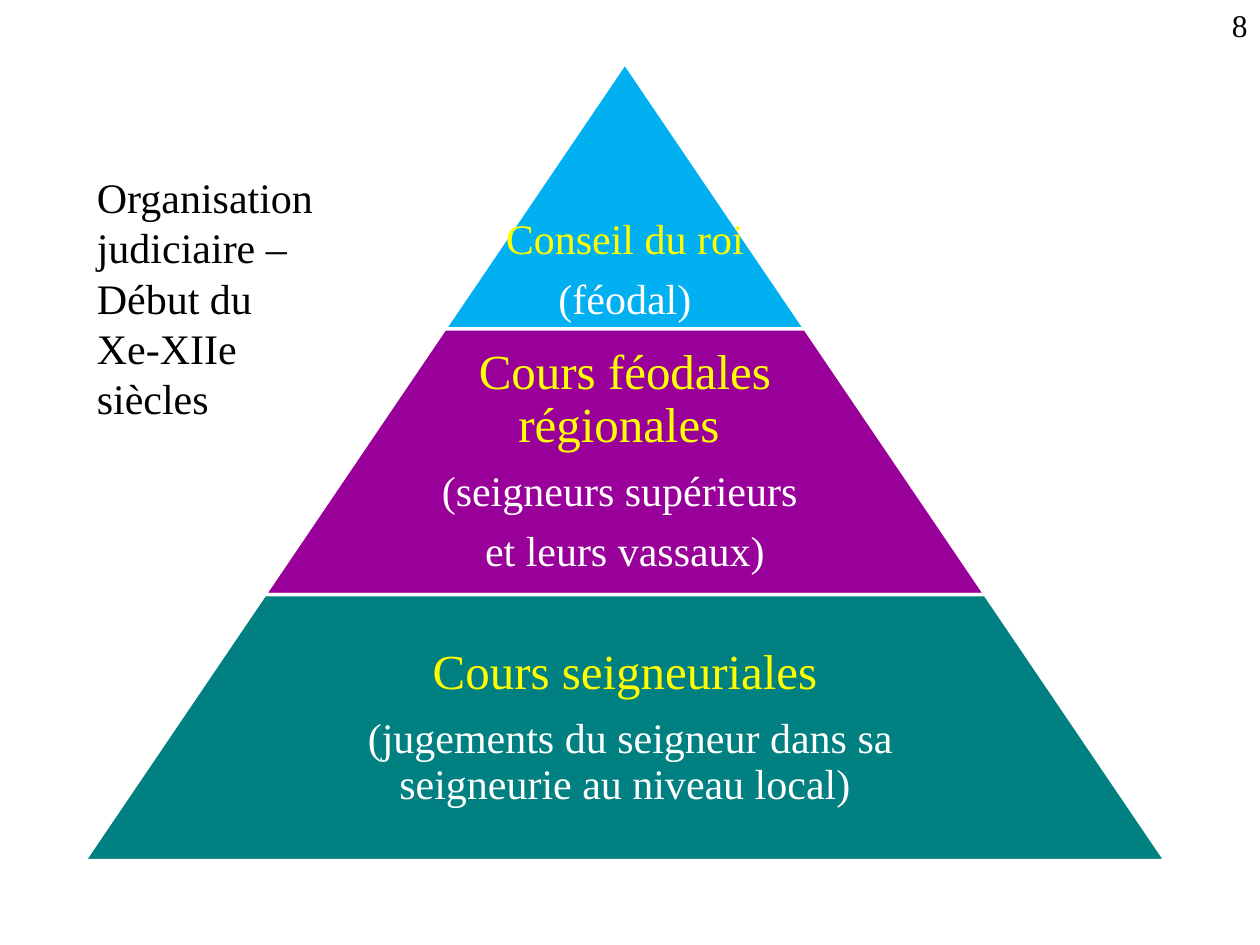
from pptx import Presentation
from pptx.dml.color import RGBColor
from pptx.enum.shapes import MSO_SHAPE
from pptx.enum.text import MSO_ANCHOR, PP_ALIGN
from pptx.util import Inches, Pt

TRAPEZOID = MSO_SHAPE.TRAPEZOID
TOP, MIDDLE, BOTTOM = MSO_ANCHOR.TOP, MSO_ANCHOR.MIDDLE, MSO_ANCHOR.BOTTOM
LEFT, CENTER, RIGHT = PP_ALIGN.LEFT, PP_ALIGN.CENTER, PP_ALIGN.RIGHT

WHITE = RGBColor(0xFF, 0xFF, 0xFF)
BLACK = RGBColor(0, 0, 0)
YELLOW = RGBColor(0xFF, 0xFF, 0)
SKY = RGBColor(0, 0xB0, 0xF0)
PURPLE = RGBColor(0x99, 0, 0x99)
TEAL = RGBColor(0, 0x80, 0x80)

FONT = "Times New Roman"
APEX_X, APEX_Y = 4.96, 0.5
TIER_HEIGHT, TIER_WIDTH = 2.11, 2.86

TIERS = [
    (SKY, 2.86, BOTTOM, [
        ("Conseil du roi", 24, YELLOW),
        ("(féodal)", 24, WHITE),
    ]),
    (PURPLE, 3.72, MIDDLE, [
        ("Cours féodales régionales ", 28, YELLOW),
        ("(seigneurs supérieurs ", 24, WHITE),
        ("et leurs vassaux)", 24, WHITE),
    ]),
    (TEAL, 5.58, MIDDLE, [
        ("Cours seigneuriales", 28, YELLOW),
        (" (jugements du seigneur dans sa seigneurie au niveau local)", 24, WHITE),
    ]),
]
TITLE = ["Organisation", "judiciaire – Début du", "Xe-XIIe siècles"]


def set_format(target, values):
    for name, value in values.items():
        setattr(target, name, value)


def add_text(page, place, lines, align, anchor=TOP, margins=(0.1, 0.05),
             line_spacing=None, gap=0):
    box = page.shapes.add_textbox(*map(Inches, place))
    frame = box.text_frame
    side, end = map(Inches, margins)
    set_format(frame, {
        "word_wrap": True, "vertical_anchor": anchor,
        "margin_left": side, "margin_right": side,
        "margin_top": end, "margin_bottom": end,
    })
    for index, (text, size, color) in enumerate(lines):
        para = frame.add_paragraph() if index else frame.paragraphs[0]
        after = size * gap if index < len(lines) - 1 else 0
        set_format(para, {"alignment": align, "line_spacing": line_spacing,
                          "space_after": Pt(after)})
        span = para.add_run()
        span.text = text
        set_format(span.font, {"name": FONT, "size": Pt(size)})
        span.font.color.rgb = color


def add_tier(page, level, color, text_width, anchor, lines):
    width = TIER_WIDTH * (level + 1)
    top = APEX_Y + TIER_HEIGHT * level
    place = (APEX_X - width / 2, top, width, TIER_HEIGHT)
    tier = page.shapes.add_shape(TRAPEZOID, *map(Inches, place))
    tier.adjustments[0] = TIER_WIDTH / 2 / TIER_HEIGHT
    tier.shadow.inherit = False
    tier.fill.solid()
    tier.fill.fore_color.rgb = color
    tier.line.color.rgb = WHITE
    tier.line.width = Pt(2)
    add_text(page, (APEX_X - text_width / 2, top, text_width, TIER_HEIGHT),
             lines, CENTER, anchor, (0.04, 0.04), 0.9, 0.35)


def main():
    deck = Presentation()
    set_format(deck, {"slide_width": Inches(10), "slide_height": Inches(7.5)})
    page = deck.slides.add_slide(deck.slide_layouts[6])
    for level, tier in enumerate(TIERS):
        add_tier(page, level, *tier)
    add_text(page, (9.25, 0, 0.75, 0.42), [("8", 18, BLACK)], RIGHT)
    add_text(page, (0.67, 1.31, 2.21, 2.12),
             [(text, 24, BLACK) for text in TITLE], LEFT)
    deck.save("out.pptx")


main()
